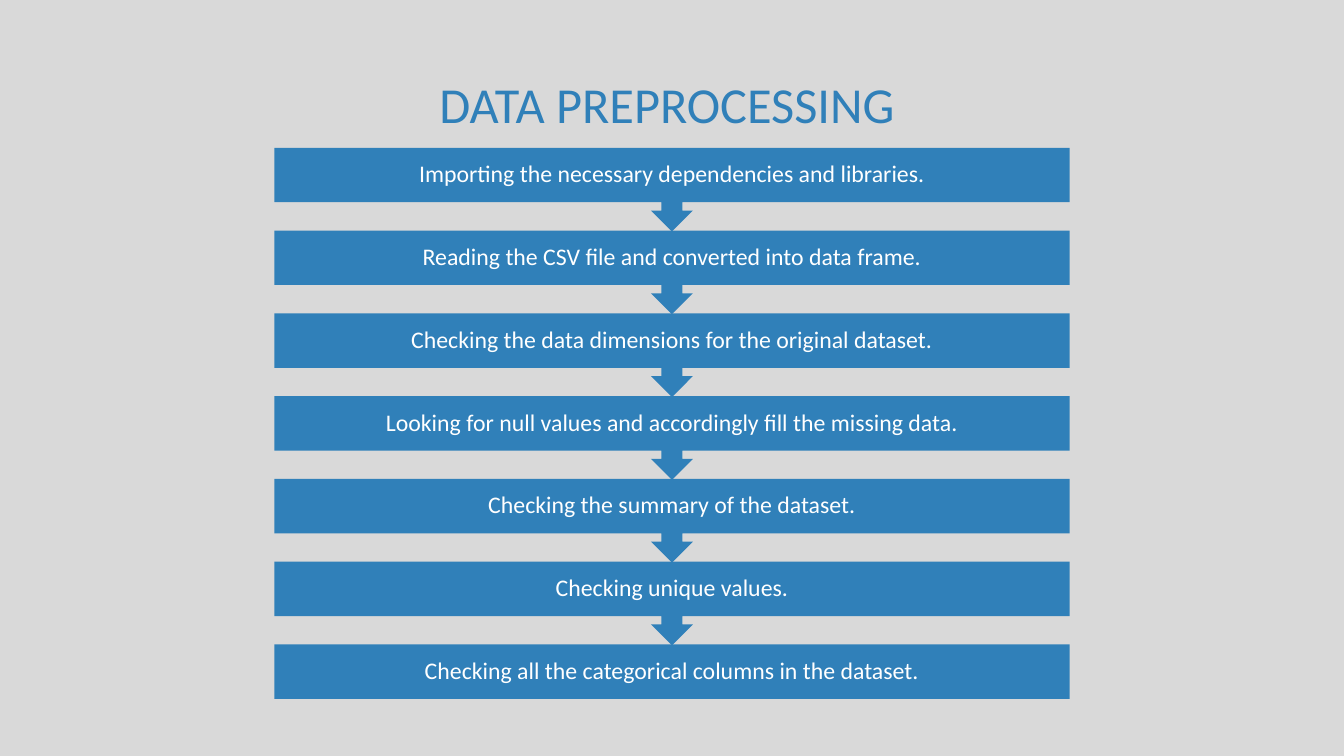
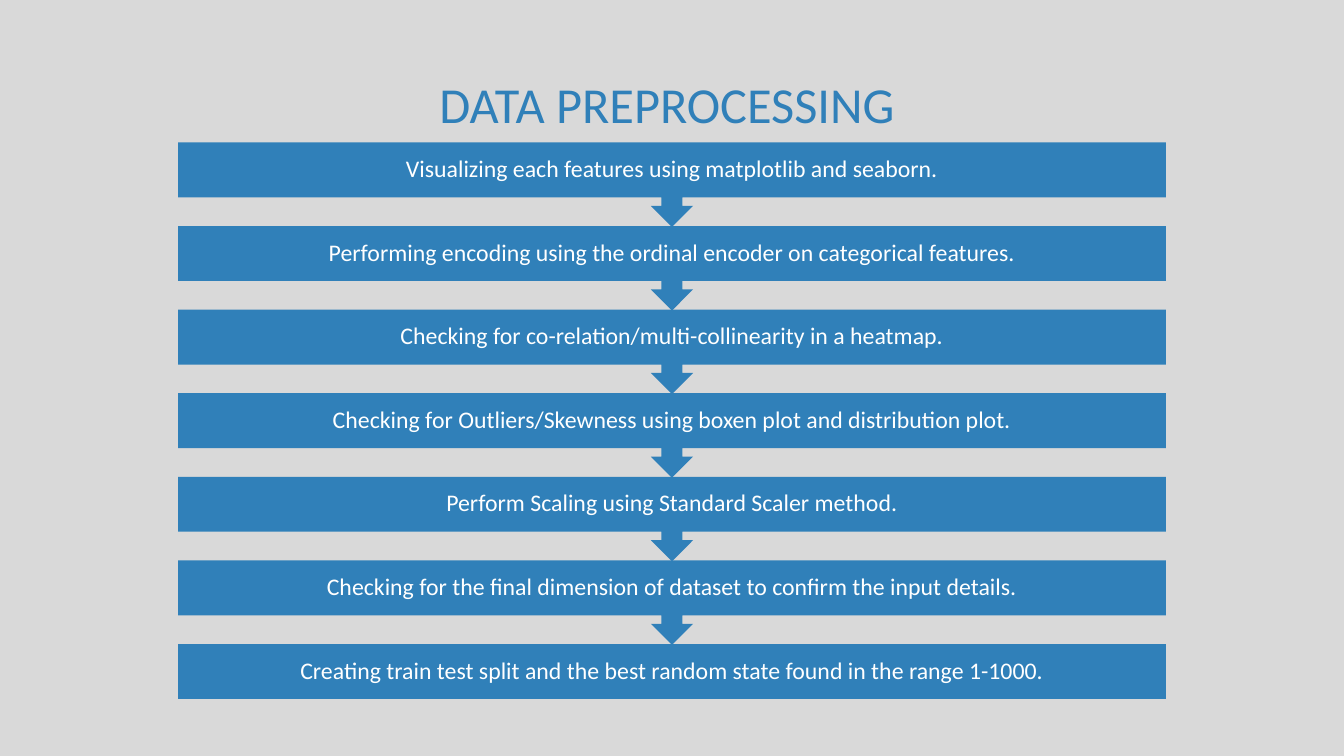
from pptx import Presentation
from pptx.dml.color import RGBColor
from pptx.enum.shapes import MSO_SHAPE as Preset
from pptx.enum.text import MSO_ANCHOR as Anchor, MSO_AUTO_SIZE as AutoSize, PP_ALIGN as Align
from pptx.util import Pt

BLUE = RGBColor(0x30, 0x80, 0xB9)
GREY = RGBColor(0xD9, 0xD9, 0xD9)
WHITE = RGBColor(0xFF, 0xFF, 0xFF)

SLIDE_WIDTH, SLIDE_HEIGHT = 960, 540
TITLE_BOX = (306.7, 40.3, 347, 67.7)
FLOW_BOTTOM = 499.2
PITCH_RATIO = 1.523
CALLOUT_RATIO = 1.54

TITLE_FONT = {"name": "Calibri", "size": Pt(36), "bold": False}
STEP_FONT = {"name": "Calibri", "size": Pt(17), "bold": False}
TITLE_FRAME = {"vertical_anchor": Anchor.MIDDLE, "auto_size": AutoSize.NONE, "word_wrap": True}
STEP_FRAME = TITLE_FRAME | dict.fromkeys(
    ("margin_left", "margin_top", "margin_right", "margin_bottom"), Pt(9.5))
TITLE_PARAGRAPH = {"alignment": Align.LEFT}
STEP_PARAGRAPH = {"alignment": Align.CENTER, "line_spacing": 0.9}

TITLE = "DATA PREPROCESSING"
FLOWS = [
    (568, 105.6, [
        "Importing the necessary dependencies and libraries.",
        "Reading the CSV file and converted into data frame.",
        "Checking the data dimensions for the original dataset.",
        "Looking for null values and accordingly fill the missing data.",
        "Checking the summary of the dataset.",
        "Checking unique values.",
        "Checking all the categorical columns in the dataset.",
    ]),
    (705.6, 101.8, [
        "Visualizing each features using matplotlib and seaborn.",
        "Performing encoding using the ordinal encoder on categorical features.",
        "Checking for co-relation/multi-collinearity in a heatmap.",
        "Checking for Outliers/Skewness using boxen plot and distribution plot.",
        "Perform Scaling using Standard Scaler method.",
        "Checking for the final dimension of dataset to confirm the input details.",
        "Creating train test split and the best random state found in the range 1-1000.",
    ]),
]


def apply_format(target, values):
    """Set every attribute in values on the target."""
    for name, value in values.items():
        setattr(target, name, value)


def write_text(shape, text, frame_format, paragraph_format, font_format, color):
    """Fill a shape with one formatted paragraph."""
    frame = shape.text_frame
    frame.text = text
    paragraph = frame.paragraphs[0]
    apply_format(frame, frame_format)
    apply_format(paragraph, paragraph_format)
    apply_format(paragraph.runs[0].font, font_format)
    paragraph.runs[0].font.color.rgb = color


def place_title(slide, box):
    """Move the title placeholder into the box and style it."""
    title = slide.shapes.title
    apply_format(title, dict(zip(("left", "top", "width", "height"), map(Pt, box))))
    write_text(title, TITLE, TITLE_FRAME, TITLE_PARAGRAPH, TITLE_FONT, BLUE)


def place_flow(slide, box, steps):
    """Stack the steps as arrow callouts that fill the box, ending in a rectangle."""
    left, top, width, height = box
    last = len(steps) - 1
    step_height = height / (last * PITCH_RATIO + 1)
    group = slide.shapes.add_group_shape()
    for index, step in enumerate(steps):
        is_last = index == last
        preset = Preset.RECTANGLE if is_last else Preset.DOWN_ARROW_CALLOUT
        shape_height = step_height if is_last else step_height * CALLOUT_RATIO
        shape = group.shapes.add_shape(
            preset, Pt(left), Pt(top + index * step_height * PITCH_RATIO),
            Pt(width), Pt(shape_height))
        shape.shadow.inherit = False
        shape.fill.solid()
        shape.fill.fore_color.rgb = BLUE
        shape.line.fill.background()
        write_text(shape, step, STEP_FRAME, STEP_PARAGRAPH, STEP_FONT, WHITE)


def add_flow_slide(presentation, width, top, steps):
    """Add a slide with the title and a centred flow of steps."""
    slide = presentation.slides.add_slide(presentation.slide_layouts.get_by_name("Title Only"))
    place_title(slide, TITLE_BOX)
    place_flow(slide, ((SLIDE_WIDTH - width) / 2, top, width, FLOW_BOTTOM - top), steps)


def main():
    """Build and save the presentation."""
    presentation = Presentation()
    presentation.slide_width = Pt(SLIDE_WIDTH)
    presentation.slide_height = Pt(SLIDE_HEIGHT)
    background = presentation.slide_master.background.fill
    background.solid()
    background.fore_color.rgb = GREY
    for width, top, steps in FLOWS:
        add_flow_slide(presentation, width, top, steps)
    presentation.save("out.pptx")


if __name__ == "__main__":
    main()
